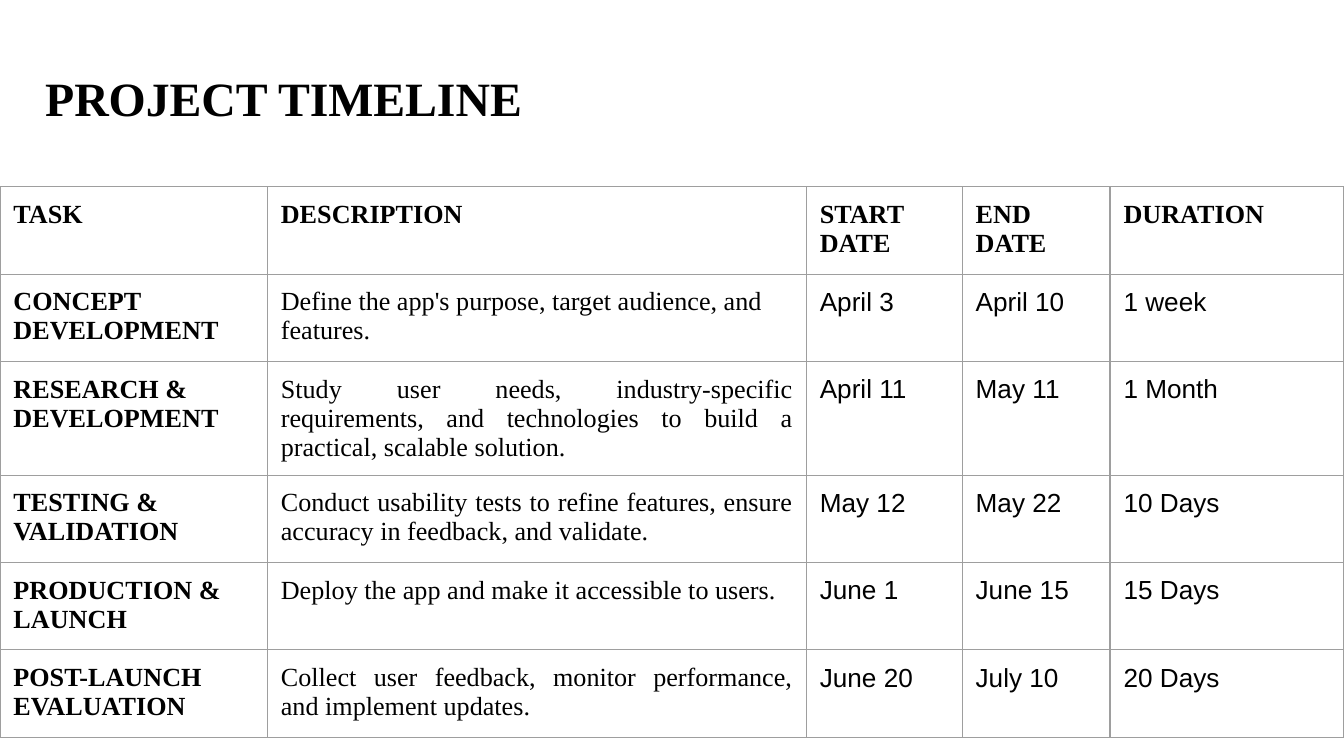
"""Build the project timeline slide."""
import pptx
import pptx.util
import pptx.dml.color
import pptx.enum.text
import pptx.oxml
import pptx.oxml.ns

WIDTH = 10
HEIGHT = WIDTH * 9 / 16
SERIF, SANS = "Times New Roman", "Arial"
COLS = [1.99, 4.01, 1.16, 1.1, 1.74]
ROW = 0.65
ALIGN = pptx.enum.text.PP_ALIGN
ANCHOR = pptx.enum.text.MSO_ANCHOR
ROWS = [
    ["TASK", "DESCRIPTION", "START DATE", "END DATE", "DURATION"],
    ["CONCEPT\nDEVELOPMENT",
     "Define the app's purpose, target audience, and features.",
     "April 3", "April 10", "1 week"],
    ["RESEARCH & DEVELOPMENT",
     "Study user needs, industry-specific requirements, and technologies "
     "to build a practical, scalable solution.",
     "April 11", "May 11", "1 Month"],
    ["TESTING & VALIDATION",
     "Conduct usability tests to refine features, ensure accuracy in "
     "feedback, and validate.",
     "May 12", "May 22", "10 Days"],
    ["PRODUCTION &\nLAUNCH",
     "Deploy the app and make it accessible to users.",
     "June 1", "June 15", "15 Days"],
    ["POST-LAUNCH EVALUATION",
     "Collect user feedback, monitor performance, and implement updates.",
     "June 20", "July 10", "20 Days"],
]


def inch(size):
    """Turn inches into a length."""
    return pptx.util.Inches(size)


def tint(code):
    """Turn a hex string into a colour."""
    return pptx.dml.color.RGBColor.from_string(code)


def pad(item):
    """Give a cell or text frame equal margins."""
    item.margin_left = item.margin_right = inch(0.1)
    item.margin_top = item.margin_bottom = inch(0.1)


def style(frame, size, face, bold, align):
    """Format every paragraph and run of a text frame."""
    frame.word_wrap = True
    for para in frame.paragraphs:
        para.alignment = align
        for run in para.runs:
            run.font.size = pptx.util.Pt(size)
            run.font.name = face
            run.font.bold = bold
            run.font.color.rgb = tint("000000")


def edge(cell, code, width):
    """Draw the four borders of a cell."""
    props = cell._tc.get_or_add_tcPr()
    space = pptx.oxml.ns.nsdecls("a")
    for spot, side in enumerate("LRTB"):
        line = pptx.oxml.parse_xml(
            f'<a:ln{side} {space} w="{pptx.util.Pt(width)}"><a:solidFill>'
            f'<a:srgbClr val="{code}"/></a:solidFill></a:ln{side}>')
        props.insert(spot, line)


def add_title(slide, text):
    """Place and format the title."""
    title = slide.shapes.title
    title.left, title.top = inch(-2.55), inch(0.41)
    title.width, title.height = inch(9.32), inch(0.63)
    frame = title.text_frame
    frame.text = text
    frame.auto_size = pptx.enum.text.MSO_AUTO_SIZE.NONE
    frame.vertical_anchor = ANCHOR.MIDDLE
    pad(frame)
    style(frame, 25.6, SERIF, True, ALIGN.CENTER)


def fill_cell(cell, text, row, col):
    """Write one cell in the style of its row and column."""
    cell.text_frame.text = text
    cell.fill.background()
    cell.vertical_anchor = ANCHOR.TOP
    pad(cell)
    edge(cell, "9E9E9E", 0.75)
    head = row == 0 or col == 0
    face = SERIF if head or col == 1 else SANS
    align = ALIGN.JUSTIFY if col == 1 and row > 1 else ALIGN.LEFT
    style(cell.text_frame, 14, face, head, align)


def add_plan(slide):
    """Add the table of tasks and dates."""
    frame = slide.shapes.add_table(
        len(ROWS), len(COLS), 0, inch(1.39),
        inch(sum(COLS)), inch(ROW * len(ROWS)))
    table = frame.table
    table.first_row = table.horz_banding = False
    for col, width in enumerate(COLS):
        table.columns[col].width = inch(width)
    for row, texts in enumerate(ROWS):
        table.rows[row].height = inch(ROW)
        for col, text in enumerate(texts):
            fill_cell(table.cell(row, col), text, row, col)


def main():
    """Build and save the slide."""
    deck = pptx.Presentation()
    deck.slide_width, deck.slide_height = inch(WIDTH), inch(HEIGHT)
    slide = deck.slides.add_slide(deck.slide_layouts[5])
    slide.background.fill.solid()
    slide.background.fill.fore_color.rgb = tint("FFFFFF")
    add_title(slide, "PROJECT TIMELINE")
    add_plan(slide)
    deck.save("out.pptx")


if __name__ == "__main__":
    main()
